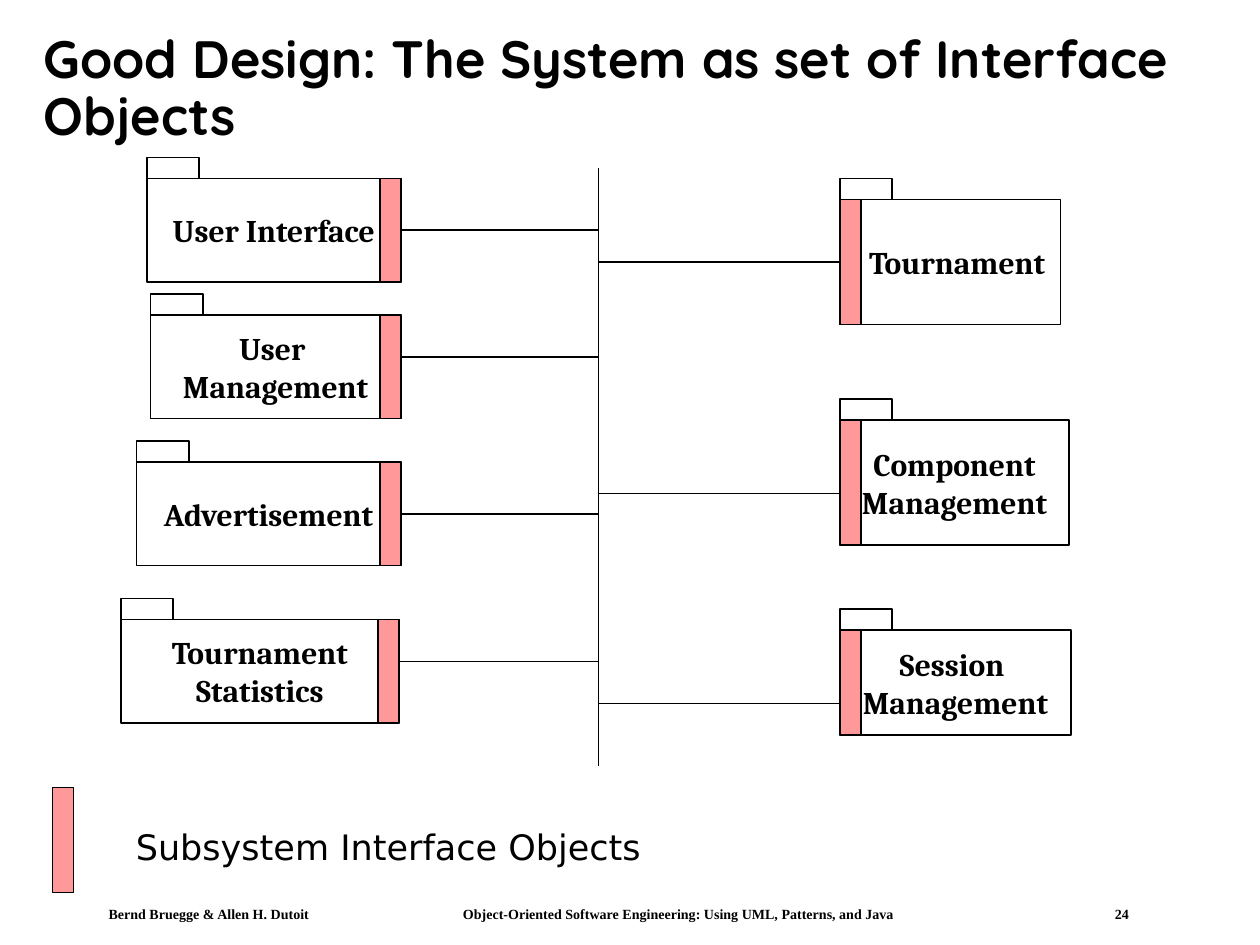
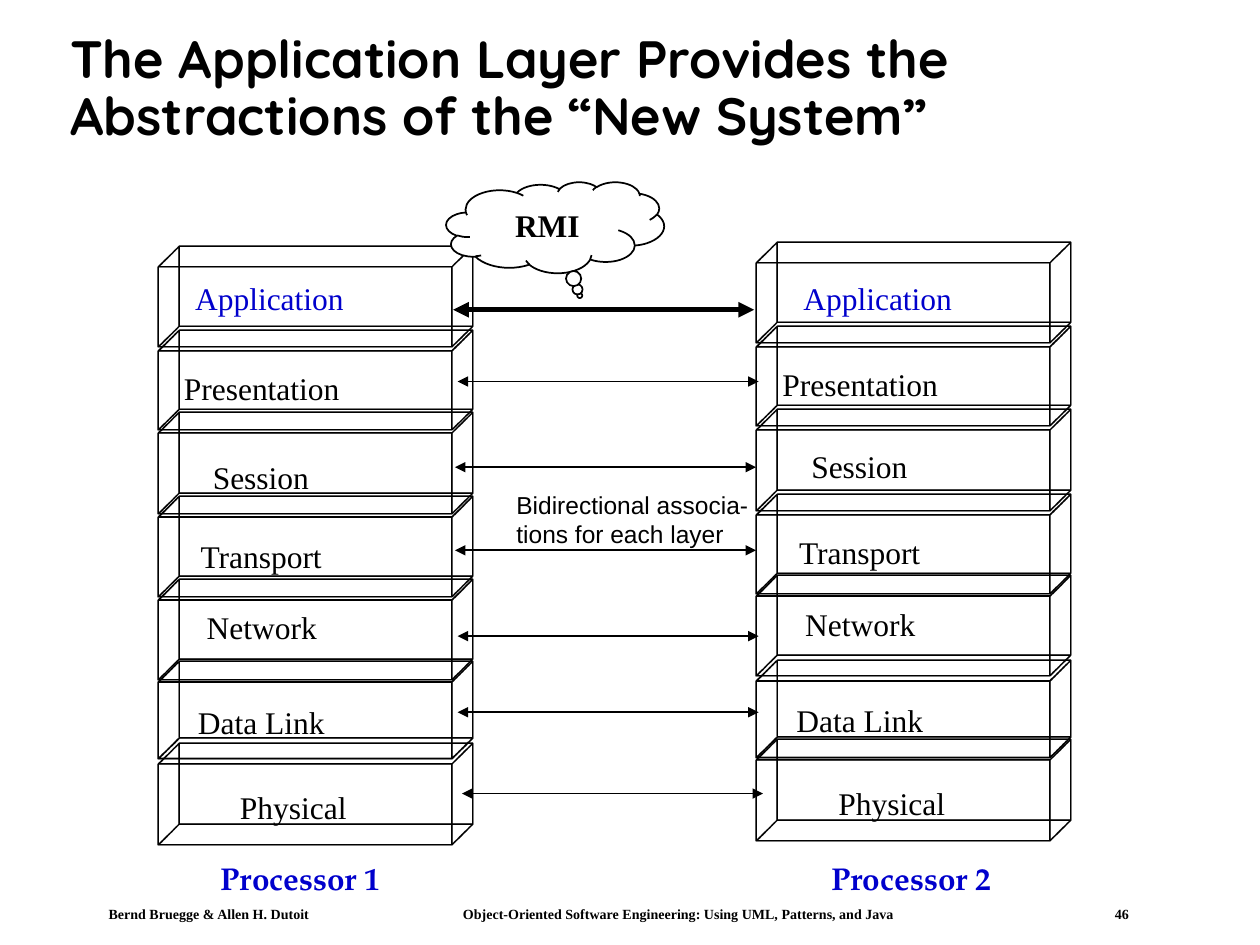
from pptx import Presentation
from pptx.dml.color import RGBColor
from pptx.enum.shapes import MSO_CONNECTOR, MSO_SHAPE
from pptx.enum.text import MSO_ANCHOR, PP_ALIGN
from pptx.oxml.ns import qn
from pptx.util import Pt
from lxml.etree import SubElement

BLACK, WHITE, PINK, BLUE = "000000", "FFFFFF", "FF9999", "0000CC"
TIMES = "Times New Roman"
RECT = MSO_SHAPE.RECTANGLE
rgb = RGBColor.from_string


def add_box(s, kind, x, y, w, h, text="", fill=None, font=TIMES, size=18,
            color=BLACK, bold=False, align=PP_ALIGN.LEFT,
            anchor=MSO_ANCHOR.TOP, wrap=True):
    """Add an outlined preset shape, or a plain text box if kind is None."""
    frame = [Pt(v) for v in (x, y, w, h)]
    if kind is None:
        sp = s.shapes.add_textbox(*frame)
    else:
        sp = s.shapes.add_shape(kind, *frame)
        sp.shadow.inherit = False
        sp.line.color.rgb = rgb(BLACK)
        sp.line.width = Pt(1)
        if fill:
            sp.fill.solid()
            sp.fill.fore_color.rgb = rgb(fill)
        else:
            sp.fill.background()
    if text:
        tf = sp.text_frame
        tf.text = text
        tf.word_wrap = wrap
        tf.vertical_anchor = anchor
        for p in tf.paragraphs:
            p.alignment = align
            for r in p.runs:
                r.font.name = font
                r.font.size = Pt(size)
                r.font.bold = bold
                r.font.color.rgb = rgb(color)
    return sp


def add_line(s, x1, y1, x2, y2, width=1, arrows=False):
    ln = s.shapes.add_connector(MSO_CONNECTOR.STRAIGHT, Pt(x1), Pt(y1), Pt(x2), Pt(y2))
    ln.line.color.rgb = rgb(BLACK)
    ln.line.width = Pt(width)
    sp_pr = ln._element.spPr
    SubElement(sp_pr, qn("a:effectLst"))
    if arrows:
        for end in ("a:headEnd", "a:tailEnd"):
            SubElement(sp_pr.find(qn("a:ln")), qn(end), type="triangle")
    return ln


prs = Presentation()
prs.slide_width, prs.slide_height = Pt(720), Pt(540)

# Shared parts: footer and title
slides = []
for title, x, w, number in [
    ("Good Design: The System as set of Interface Objects", 18, 679, 24),
    ("The Application Layer Provides the Abstractions of the “New System”", 33, 642, 46),
]:
    s = prs.slides.add_slide(prs.slide_layouts[6])
    footer = ("Bernd Bruegge & Allen H. Dutoit\t"
              "Object-Oriented Software Engineering: Using UML, Patterns, and Java\t"
              f"{number}")
    sp = add_box(s, None, 56, 514.5, 600, 15, footer, size=8, bold=True)
    tf = sp.text_frame
    tf.margin_left, tf.margin_right = Pt(6), 0
    tf.margin_top = tf.margin_bottom = Pt(3)
    tabs = SubElement(tf.paragraphs[0]._p.get_or_add_pPr(), qn("a:tabLst"))
    for pos in (202.5, 575):
        SubElement(tabs, qn("a:tab"), pos=str(Pt(pos)), algn="l")

    sp = add_box(s, None, x, 17.5, w, 68, title, font="Quicksand", size=30,
                 bold=True, anchor=MSO_ANCHOR.MIDDLE)
    sp.text_frame.paragraphs[0].line_spacing = 0.9
    slides.append(s)

# Slide 1: packages on both sides of a bus
s = slides[0]
BUS_X, STRIP_W = 342, 12
add_line(s, BUS_X, 96, BUS_X, 438)

# name, left, top, width, height, height of the line to the bus (None: middle)
packages = [
    ("User Interface", 84, 102, 145, 59.25, None),
    ("User \nManagement", 86, 180, 143, 59.25, 204),
    ("Advertisement", 78, 264, 151, 59.25, None),
    ("Tournament\nStatistics", 69, 354, 159, 59.25, 378),
    ("Tournament", 480, 114, 126, 71.5, None),
    ("Component\nManagement", 480, 240, 131, 71.5, 282),
    ("Session \nManagement", 480, 360, 132, 60, 402),
]
for name, x, y, w, h, line_y in packages:
    on_left = x < BUS_X
    body = add_box(s, RECT, x, y, w, h, name, WHITE, "Cambria", bold=True,
                   align=PP_ALIGN.CENTER, anchor=MSO_ANCHOR.MIDDLE, wrap=False)
    if name == "Tournament":
        body.text_frame.margin_left = Pt(15)
    add_box(s, RECT, x, y - 12, 30, 12, fill=WHITE)
    strip_x = x + w - STRIP_W if on_left else x
    strip = add_box(s, RECT, strip_x, y, STRIP_W, h, fill=PINK)
    edge = x + w if on_left else x
    bus_y = line_y or y + h / 2
    ln = add_line(s, edge, bus_y, BUS_X, bus_y)
    if line_y is None:
        ln.begin_connect(strip, 3 if on_left else 1)

add_box(s, RECT, 30, 450, STRIP_W, 60, fill=PINK)
add_box(s, None, 69, 468, 306, 31, "Subsystem Interface Objects",
        font="DejaVu Sans", size=20, align=PP_ALIGN.CENTER,
        anchor=MSO_ANCHOR.MIDDLE, wrap=False)

# Slide 2: two stacks of wireframe layers joined by arrows
s = slides[1]
COLUMNS = (90, 432)
LAYER_W, DEPTH, ARROW_W = 168.5, 33.88, 172

# name, height, label indents, layer tops, label tops, arrow start
layers = [
    ("Application", 46.8, (14.4, 20), (152, 149.8), (156, 156), (259, 177)),
    ("Presentation", 46, (8, 8), (200.2, 198), (207.5, 205), (261.5, 218)),
    ("Session", 46.8, (24.5, 24.5), (247, 245.5), (258, 252), (260, 267)),
    ("Transport", 46, (17.5, 17.5), (295.2, 293.8), (303.3, 301.3), (260, 314.5)),
    ("Network", 46, (21, 21), (342.7, 340.5), (344, 342), (261.5, 363.5)),
    ("Data Link", 44.6, (16, 16), (389.5, 388.8), (398, 397.2), (261.5, 407)),
    ("Physical", 46.8, (40, 40), (436.3, 434.2), (446.5, 444.6), (264, 453.5)),
]
for name, h, indents, tops, label_tops, (arrow_x, arrow_y) in layers:
    top_layer = name == "Application"
    for x, indent, y, label_y in zip(COLUMNS, indents, tops, label_tops):
        sp_pr = add_box(s, RECT, x, y, LAYER_W, h)._element.spPr
        scene = SubElement(sp_pr, qn("a:scene3d"))
        SubElement(scene, qn("a:camera"), prst="legacyObliqueTopRight")
        SubElement(scene, qn("a:lightRig"), rig="legacyFlat3", dir="b")
        solid = SubElement(sp_pr, qn("a:sp3d"), extrusionH=str(Pt(DEPTH)),
                           prstMaterial="legacyWireframe")
        extrusion = SubElement(solid, qn("a:extrusionClr"))
        SubElement(extrusion, qn("a:srgbClr"), val=BLACK)
        add_box(s, None, x + indent, label_y, 120, 29, name,
                color=BLUE if top_layer else BLACK)
    add_line(s, arrow_x, arrow_y, arrow_x + ARROW_W, arrow_y,
             width=3 if top_layer else 1, arrows=True)

add_box(s, None, 288, 276.5, 174, 40,
        "Bidirectional associa- tions for each layer", font="Arial", size=14)
for number, x in enumerate((119, 468), 1):
    add_box(s, None, x, 487.5, 106, 29, f"Processor {number}",
            font="TeX Gyre Pagella", color=BLUE, bold=True, wrap=False)

cloud = add_box(s, MSO_SHAPE.CLOUD_CALLOUT, 255, 104, 124.5, 52, "RMI", WHITE,
                bold=True, align=PP_ALIGN.CENTER, anchor=MSO_ANCHOR.MIDDLE,
                wrap=False)
cloud.adjustments[0] = 0.113
cloud.adjustments[1] = 0.749

prs.save("out.pptx")
